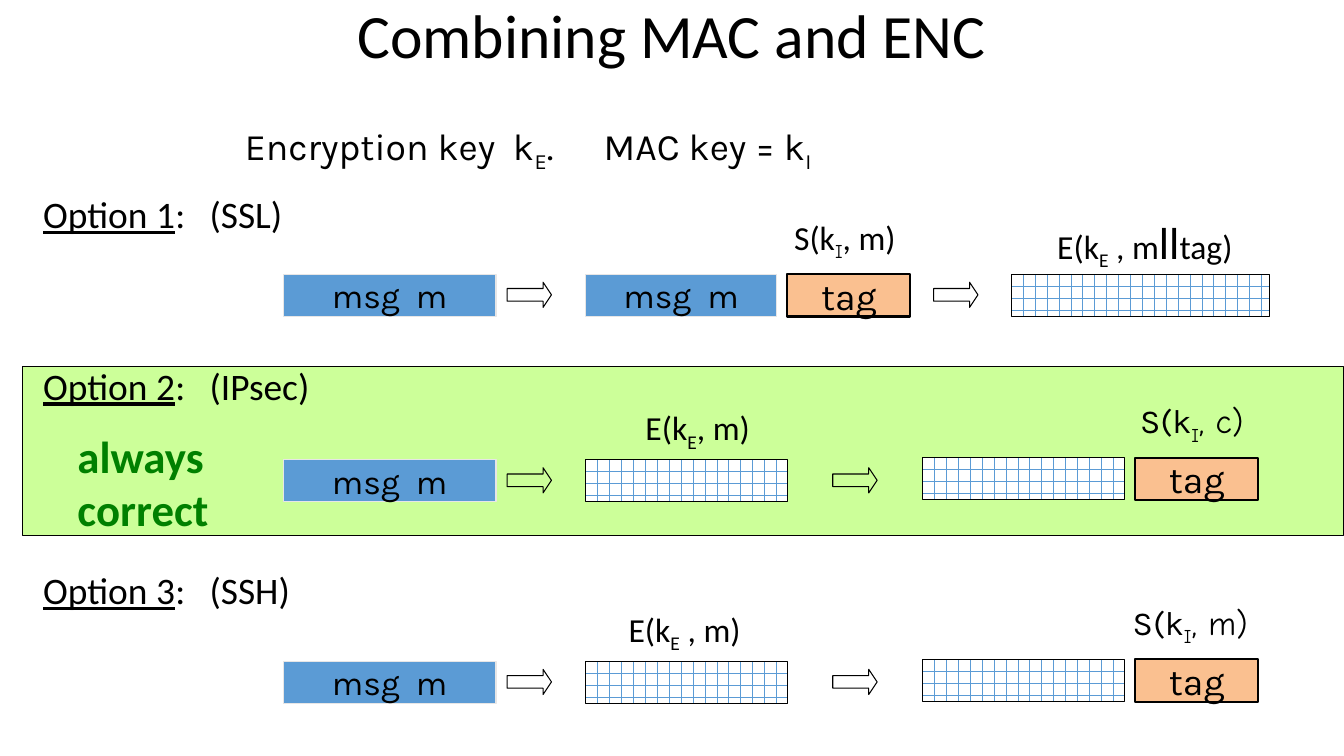
from lxml.etree import SubElement
from pptx import Presentation
from pptx.dml.color import RGBColor
from pptx.enum.dml import MSO_PATTERN
from pptx.enum.shapes import MSO_SHAPE as SHAPE
from pptx.enum.text import MSO_ANCHOR as ANCHOR, PP_ALIGN as ALIGN
from pptx.oxml.ns import qn
from pptx.util import Inches, Pt

COLORS = {
    "black": "000000", "white": "FFFFFF", "message": "5B9BD5", "message edge": "E7E6E6",
    "tag": "FAC090", "highlight": "CCFF99", "verdict": "008000",
}
BODY, MATH, INDEX = "Calibri", "Karla", "Comic Neue"
BODY_SIZE, LABEL_SIZE = 26.7, 24
BLOCK_HEIGHT = 0.42
MESSAGE_LEFT, MESSAGE_WIDTH = 2.81, 2.11
FIRST_ARROW, SECOND_LEFT = 5.03, 5.81
TAG_WIDTH, TAG_GAP = 1.22, 0.11


def rgb(name):
    return RGBColor.from_string(COLORS[name])


def sub(text, font=None):
    """Describe a subscript run."""
    return text, {"sub": True, "font": font}


def write(paragraph, pieces, font=BODY, size=LABEL_SIZE, color="black"):
    """Add runs; a piece is a string or a (text, overrides) pair."""
    for piece in pieces:
        text, style = (piece, {}) if isinstance(piece, str) else piece
        run = paragraph.add_run()
        run.text = text
        run.font.name = style.get("font") or font
        run.font.size = Pt(style.get("size", size))
        run.font.color.rgb = rgb(color)
        if style.get("underline"):
            run.font.underline = True
        if style.get("bold"):
            run.font.bold = True
        if style.get("sub"):
            run.font._element.set("baseline", "-25000")


def add_text(slide, left, top, width, height, align=ALIGN.LEFT, wrap=False):
    """Add a text box and return its first paragraph."""
    frame = slide.shapes.add_textbox(
        Inches(left), Inches(top), Inches(width), Inches(height)).text_frame
    frame.word_wrap = wrap
    paragraph = frame.paragraphs[0]
    paragraph.alignment = align
    return paragraph


def add_label(slide, left, top, width, pieces, font=BODY, height=0.5):
    write(add_text(slide, left, top, width, height, ALIGN.CENTER), pieces, font)


def add_body_line(slide, left, top, tab, pieces, font=BODY):
    """Add a line of body text whose second part starts at a tab stop."""
    line = add_text(slide, left, top, 6.5, 0.5, wrap=True)
    line.line_spacing = 0.9
    stops = SubElement(line._p.get_or_add_pPr(), qn("a:tabLst"))
    SubElement(stops, qn("a:tab"), pos=str(Inches(tab)), algn="l")
    write(line, pieces, font, BODY_SIZE)


def add_block(slide, left, top, width, height=BLOCK_HEIGHT, fill=None,
              edge="black", edge_width=0.75, kind=SHAPE.RECTANGLE):
    block = slide.shapes.add_shape(
        kind, Inches(left), Inches(top), Inches(width), Inches(height))
    block.shadow.inherit = False
    if fill:
        block.fill.solid()
        block.fill.fore_color.rgb = rgb(fill)
    else:
        block.fill.background()
    block.line.color.rgb = rgb(edge)
    block.line.width = Pt(edge_width)
    return block


def caption_block(block, text, size):
    frame = block.text_frame
    frame.word_wrap = False
    frame.vertical_anchor = ANCHOR.MIDDLE
    frame.paragraphs[0].alignment = ALIGN.CENTER
    write(frame.paragraphs[0], [text], MATH, size)


def add_message(slide, left, top, width):
    block = add_block(slide, left, top, width, fill="message", edge="message edge")
    caption_block(block, "msg  m", LABEL_SIZE)


def add_tag(slide, left, top):
    block = add_block(slide, left, top, TAG_WIDTH, fill="tag", edge_width=1.5)
    caption_block(block, "tag", BODY_SIZE)


def add_ciphertext(slide, left, top, width):
    fill = add_block(slide, left, top, width).fill
    fill.patterned()
    fill.pattern = MSO_PATTERN.HORIZONTAL_BRICK
    fill.fore_color.rgb = rgb("message")
    fill.back_color.rgb = rgb("white")


def add_arrow(slide, left, row_top):
    arrow = add_block(slide, left, row_top + 0.08, 0.44, 0.25, kind=SHAPE.RIGHT_ARROW)
    arrow.adjustments[1] = 0.333


def add_option(slide, number, protocol, top):
    add_body_line(slide, 0.33, top, 1.65,
                  [(f"Option {number}", {"underline": True}), f":\t({protocol})"])


def add_start(slide, top):
    """Add the plain message and the arrow that every option begins with."""
    add_message(slide, MESSAGE_LEFT, top, MESSAGE_WIDTH)
    add_arrow(slide, FIRST_ARROW, top)


def add_mac_then_encrypt(slide, top):
    message_width = 1.89
    tag_left = SECOND_LEFT + message_width + TAG_GAP
    add_start(slide, top)
    add_message(slide, SECOND_LEFT, top, message_width)
    add_tag(slide, tag_left, top)
    add_arrow(slide, 9.26, top)
    add_ciphertext(slide, 10.03, top, 2.56)
    add_label(slide, 7.75, 2.1, 1.26, ["S(k", sub("I", INDEX), ", m)"])
    add_label(slide, 10.37, 2.08, 1.97,
              ["E(k", sub("E"), " , m", ("ll", {"size": 32}), "tag)"], height=0.64)


def add_encrypt_with_mac(slide, top, cipher_label, tag_label):
    """Add an encrypted block, then the same block with a tag beside it."""
    cipher_width, cipher_left, tagged_top = 2, 9.15, top - 0.02
    add_start(slide, top)
    add_ciphertext(slide, SECOND_LEFT, top, cipher_width)
    add_arrow(slide, 8.26, top)
    add_ciphertext(slide, cipher_left, tagged_top, cipher_width)
    add_tag(slide, cipher_left + cipher_width + TAG_GAP, tagged_top)
    left, width, ending = cipher_label
    add_label(slide, left, top - 0.57, width, ["E(k", sub("E"), ending])
    left, width, ending = tag_label
    add_label(slide, left, top - 0.64, width,
              ["S(k", sub("I", INDEX), (ending, {"font": INDEX})], MATH)


def add_title(slide, text):
    title = add_text(slide, 1, 0, 11.33, 0.83, ALIGN.CENTER, wrap=True)
    title.line_spacing = 0.9
    write(title, [text], size=44)


def add_verdict(slide, first, second):
    verdict = add_text(slide, 0.67, 4.2, 1.51, 1.18)
    bold = {"bold": True}
    write(verdict, [(first, bold)], size=32, color="verdict")
    verdict.add_line_break()
    write(verdict, [(second, bold)], size=32, color="verdict")


def main():
    deck = Presentation()
    deck.slide_width, deck.slide_height = Inches(13.33), Inches(7.5)
    slide = deck.slides.add_slide(deck.slide_layouts[6])

    add_block(slide, 0.22, 3.64, 13.11, 1.67, fill="highlight")
    add_title(slide, "Combining MAC and ENC")
    add_body_line(slide, 2.33, 1.18, 3.56,
                  ["Encryption key  k", sub("E"), ".\tMAC key = k", sub("I")], MATH)
    for number, (protocol, top) in enumerate(
            [("SSL", 1.9), ("IPsec", 3.6), ("SSH", 5.63)], start=1):
        add_option(slide, number, protocol, top)

    add_mac_then_encrypt(slide, 2.72)
    add_encrypt_with_mac(slide, 4.56, (6.29, 1.26, ", m)"), (11.17, 1.3, ", c)"))
    add_encrypt_with_mac(slide, 6.56, (6.12, 1.34, " , m)"), (11.11, 1.39, ", m)"))
    add_verdict(slide, "always", "correct")
    deck.save("out.pptx")


if __name__ == "__main__":
    main()
